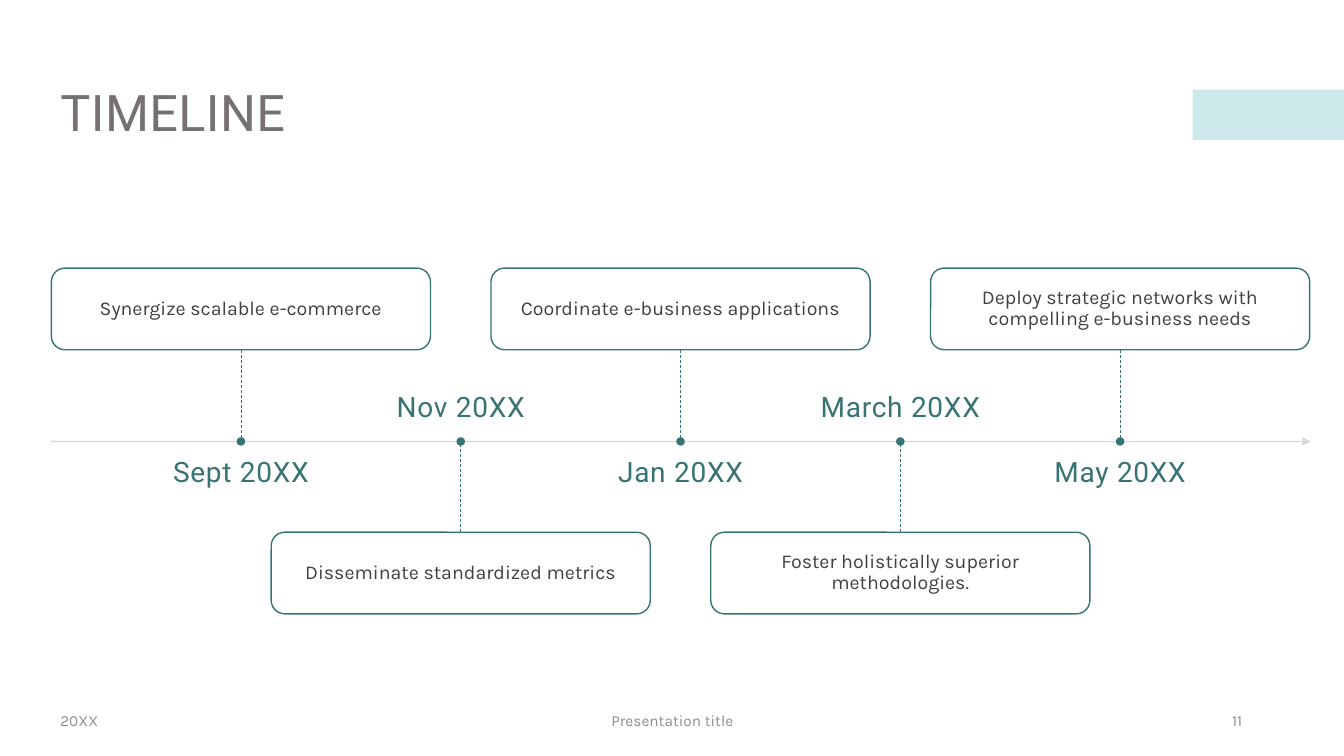
from lxml import etree
from pptx import Presentation
from pptx.dml.color import RGBColor
from pptx.enum.dml import MSO_LINE
from pptx.enum.shapes import MSO_CONNECTOR, MSO_SHAPE
from pptx.enum.text import MSO_ANCHOR, PP_ALIGN
from pptx.oxml.ns import qn
from pptx.util import Inches, Pt

TITLE = "TIMELINE"
MILESTONES = [
    ("Sept 20XX", "Synergize scalable e-commerce"),
    ("Nov 20XX", "Disseminate standardized metrics"),
    ("Jan 20XX", "Coordinate e-business applications"),
    ("March 20XX", "Foster holistically superior methodologies."),
    ("May 20XX", "Deploy strategic networks with compelling e-business needs"),
]
LEFT, CENTER, RIGHT = PP_ALIGN.LEFT, PP_ALIGN.CENTER, PP_ALIGN.RIGHT
FOOTERS = [
    ("20XX", 0.5, 3, LEFT),
    ("Presentation title", 4.42, 4.5, CENTER),
    ("11", 9.42, 3, RIGHT),
]

TEAL = RGBColor(0x38, 0x73, 0x73)
PALE_BLUE = RGBColor(0x9C, 0xD3, 0xD9)
AXIS_GRAY = RGBColor(0xCE, 0xD5, 0xD5)
TITLE_GRAY = RGBColor(0x76, 0x71, 0x71)
BODY_GRAY = RGBColor(0x40, 0x40, 0x40)
FOOTER_GRAY = RGBColor(0x8C, 0x8C, 0x8C)
WHITE = RGBColor(0xFF, 0xFF, 0xFF)
HEADING_FONT, BODY_FONT = "Roboto", "Karla"

TOP, MIDDLE, BOTTOM = MSO_ANCHOR.TOP, MSO_ANCHOR.MIDDLE, MSO_ANCHOR.BOTTOM
RECT, ROUNDED, OVAL = MSO_SHAPE.RECTANGLE, MSO_SHAPE.ROUNDED_RECTANGLE, MSO_SHAPE.OVAL
STRAIGHT, DASH = MSO_CONNECTOR.STRAIGHT, MSO_LINE.DASH

AXIS_Y, AXIS_LEFT, AXIS_RIGHT = 4.38, 0.5, 13
FIRST_X, STEP = 2.39, 2.18
BOX_W, BOX_H, BOX_TOP, BOX_LOW, BOX_INSET = 3.76, 0.81, 2.66, 5.28, 0.18
DATE_W, DATE_H, DATE_TOP, DATE_LOW = 3.31, 0.54, 3.66, 4.55
DOT = 0.07


def set_alpha(holder, percent):
    color = holder.find(qn("a:solidFill"))[0]
    etree.SubElement(color, qn("a:alpha")).set("val", str(percent * 1000))


def write(sp, text, size, font, color, align=LEFT, anchor=MIDDLE,
          inset=None, spacing=None, line_spacing=None):
    tf = sp.text_frame
    tf.word_wrap = True
    tf.vertical_anchor = anchor
    if inset is not None:
        tf.margin_left = tf.margin_right = Inches(inset)
        tf.margin_top = tf.margin_bottom = Inches(inset)
    tf.text = text
    p = tf.paragraphs[0]
    p.alignment = align
    if line_spacing:
        p.line_spacing = line_spacing
    r = p.runs[0]
    r.font.size = Pt(size)
    r.font.name = font
    r.font.color.rgb = color
    if spacing:
        r.font._element.set("spc", str(spacing))


def add_text(slide, x, y, w, h, text, *style, **options):
    sp = slide.shapes.add_textbox(Inches(x), Inches(y), Inches(w), Inches(h))
    write(sp, text, *style, **options)


def add_box(slide, kind, x, y, w, h, fill, line=None, alpha=None):
    sp = slide.shapes.add_shape(kind, Inches(x), Inches(y), Inches(w), Inches(h))
    sp.shadow.inherit = False
    sp.fill.solid()
    sp.fill.fore_color.rgb = fill
    if alpha:
        set_alpha(sp._element.spPr, alpha)
    if line is None:
        sp.line.fill.background()
    else:
        sp.line.color.rgb = line
        sp.line.width = Pt(1)
    return sp


def add_line(slide, x1, y1, x2, y2, color, width):
    line = slide.shapes.add_connector(
        STRAIGHT, Inches(x1), Inches(y1), Inches(x2), Inches(y2))
    line.line.color.rgb = color
    line.line.width = Pt(width)
    etree.SubElement(line._element.spPr, qn("a:effectLst"))
    return line


def add_milestone(slide, index, date, text):
    x = FIRST_X + index * STEP
    above = index % 2 == 0
    box_y = BOX_TOP if above else BOX_LOW
    edge_y = box_y + BOX_H if above else box_y
    box = add_box(slide, ROUNDED, x - BOX_W / 2, box_y, BOX_W, BOX_H, WHITE, TEAL, 90)
    write(box, text, 14, BODY_FONT, BODY_GRAY, CENTER,
          inset=BOX_INSET, line_spacing=0.9)
    stem = add_line(slide, x, edge_y, x, AXIS_Y, TEAL, 0.5)
    stem.line.dash_style = DASH
    stem.begin_connect(box, 2 if above else 0)
    add_box(slide, OVAL, x - DOT / 2, AXIS_Y - DOT / 2, DOT, DOT, TEAL, TEAL)
    add_text(slide, x - DATE_W / 2, DATE_LOW if above else DATE_TOP, DATE_W, DATE_H,
             date, 20, HEADING_FONT, TEAL, CENTER, TOP if above else BOTTOM,
             inset=0, spacing=50, line_spacing=0.9)


def main():
    """Build the timeline slide."""
    prs = Presentation()
    prs.slide_width, prs.slide_height = Inches(13.33), Inches(7.5)
    slide = prs.slides.add_slide(prs.slide_layouts[5])

    add_box(slide, RECT, 11.83, 0.89, 1.5, 0.5, PALE_BLUE, alpha=50)
    title = slide.shapes.title
    title.left, title.top = Inches(0.5), Inches(0.42)
    title.width, title.height = Inches(12.33), Inches(1.45)
    write(title, TITLE, 36, HEADING_FONT, TITLE_GRAY, spacing=30, line_spacing=0.9)

    axis = add_line(slide, AXIS_LEFT, AXIS_Y, AXIS_RIGHT, AXIS_Y, AXIS_GRAY, 1)
    ln = axis._element.spPr.find(qn("a:ln"))
    set_alpha(ln, 90)
    etree.SubElement(ln, qn("a:tailEnd")).set("type", "triangle")

    for index, (date, text) in enumerate(MILESTONES):
        add_milestone(slide, index, date, text)
    for text, x, w, align in FOOTERS:
        add_text(slide, x, 6.95, w, 0.4, text, 11, BODY_FONT, FOOTER_GRAY, align)
    prs.save("out.pptx")


if __name__ == "__main__":
    main()
